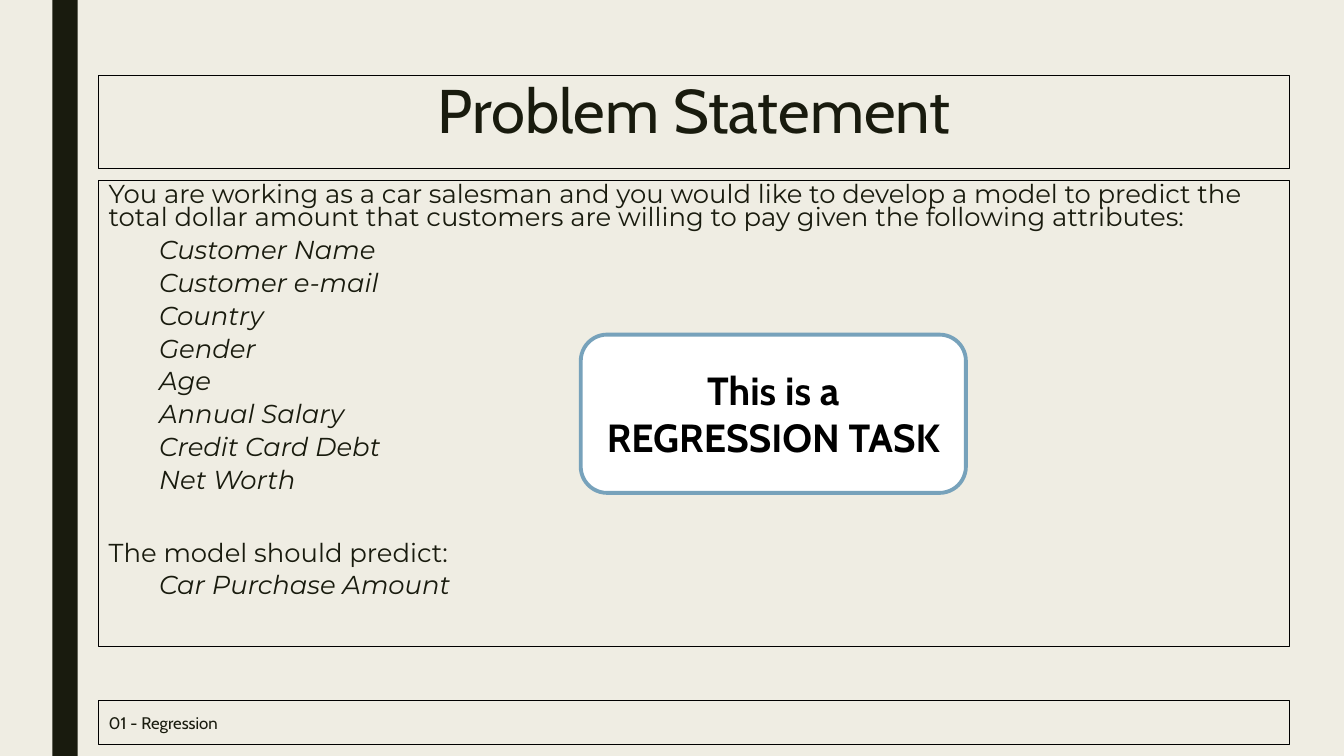
from pptx import Presentation
from pptx.dml.color import RGBColor as Rgb
from pptx.enum.shapes import MSO_SHAPE as Kind
from pptx.enum.text import MSO_ANCHOR as Anchor, PP_ALIGN as Align
from pptx.util import Inches, Pt

TITLE = "Problem Statement"
INTRO = ("You are working as a car salesman and you would like to develop a model "
         "to predict the total dollar amount that customers are willing to pay "
         "given the following attributes:")
INPUTS = ["Customer Name", "Customer e-mail", "Country", "Gender", "Age",
          "Annual Salary", "Credit Card Debt", "Net Worth"]
GOAL = "The model should predict:"
OUTPUT = "Car Purchase Amount"
NOTE = ["This is a", "REGRESSION TASK"]
FOOTER = "01 - Regression"

THEME = {
    "paper": "EFEDE3", "ink": "191B0E", "black": "000000",
    "white": "FFFFFF", "blue": "77A2BB",
    "head": "Cabin", "text": "Montserrat",
    "title": 44, "body": 18.5, "note": 28, "foot": 12,
}
LEFT, WIDTH = 0.98, 11.81


def color(name):
    return Rgb.from_string(THEME[name])


def add_box(slide, area, kind=Kind.RECTANGLE, fill=None, line=None, weight=0.75,
            anchor=Anchor.TOP):
    box = slide.shapes.add_shape(kind, *map(Inches, area))
    box.shadow.inherit = False
    if fill:
        box.fill.solid()
        box.fill.fore_color.rgb = color(fill)
    else:
        box.fill.background()
    if line:
        box.line.color.rgb = color(line)
        box.line.width = Pt(weight)
    else:
        box.line.fill.background()
    box.text_frame.word_wrap = True
    box.text_frame.vertical_anchor = anchor
    return box.text_frame


def add_line(frame, index, text, size, font="head", ink="ink", align=Align.LEFT,
             bold=False, italic=False):
    para = frame.add_paragraph() if index else frame.paragraphs[0]
    para.alignment = align
    run = para.add_run()
    run.text = text
    run.font.name = THEME[font]
    run.font.size = Pt(THEME[size])
    run.font.color.rgb = color(ink)
    run.font.bold = bold
    run.font.italic = italic
    return para


def add_body(slide):
    frame = add_box(slide, (LEFT, 1.79, WIDTH, 4.62), line="black")
    rows = [(INTRO, 0, 0), *((name, 1, 5) for name in INPUTS),
            (GOAL, 0, 33.5), (OUTPUT, 1, 5)]
    for index, (text, level, before) in enumerate(rows):
        para = add_line(frame, index, text, "body", "text", italic=bool(level))
        para.line_spacing = 0.74
        para.space_before = Pt(before)
        para.space_after = Pt(2)
        if level:
            para.level = level
            props = para._p.get_or_add_pPr()
            props.set("marL", str(Inches(0.5)))
            props.set("indent", "0")


def main():
    deck = Presentation()
    deck.slide_width, deck.slide_height = Inches(13.33), Inches(7.5)
    slide = deck.slides.add_slide(deck.slide_layouts[6])
    slide.background.fill.solid()
    slide.background.fill.fore_color.rgb = color("paper")

    add_box(slide, (0.52, 0, 0.25, 7.5), fill="ink")

    title = add_box(slide, (LEFT, 0.75, WIDTH, 0.92), line="black")
    add_line(title, 0, TITLE, "title", align=Align.CENTER).line_spacing = 0.89

    add_body(slide)

    foot = add_box(slide, (LEFT, 6.95, WIDTH, 0.44), line="black",
                   anchor=Anchor.MIDDLE)
    add_line(foot, 0, FOOTER, "foot")

    note = add_box(slide, (5.76, 3.32, 3.82, 1.57), Kind.ROUNDED_RECTANGLE,
                   "white", "blue", 2.75, Anchor.MIDDLE)
    for index, text in enumerate(NOTE):
        add_line(note, index, text, "note", ink="black", align=Align.CENTER,
                 bold=True)

    deck.save("out.pptx")


if __name__ == "__main__":
    main()
